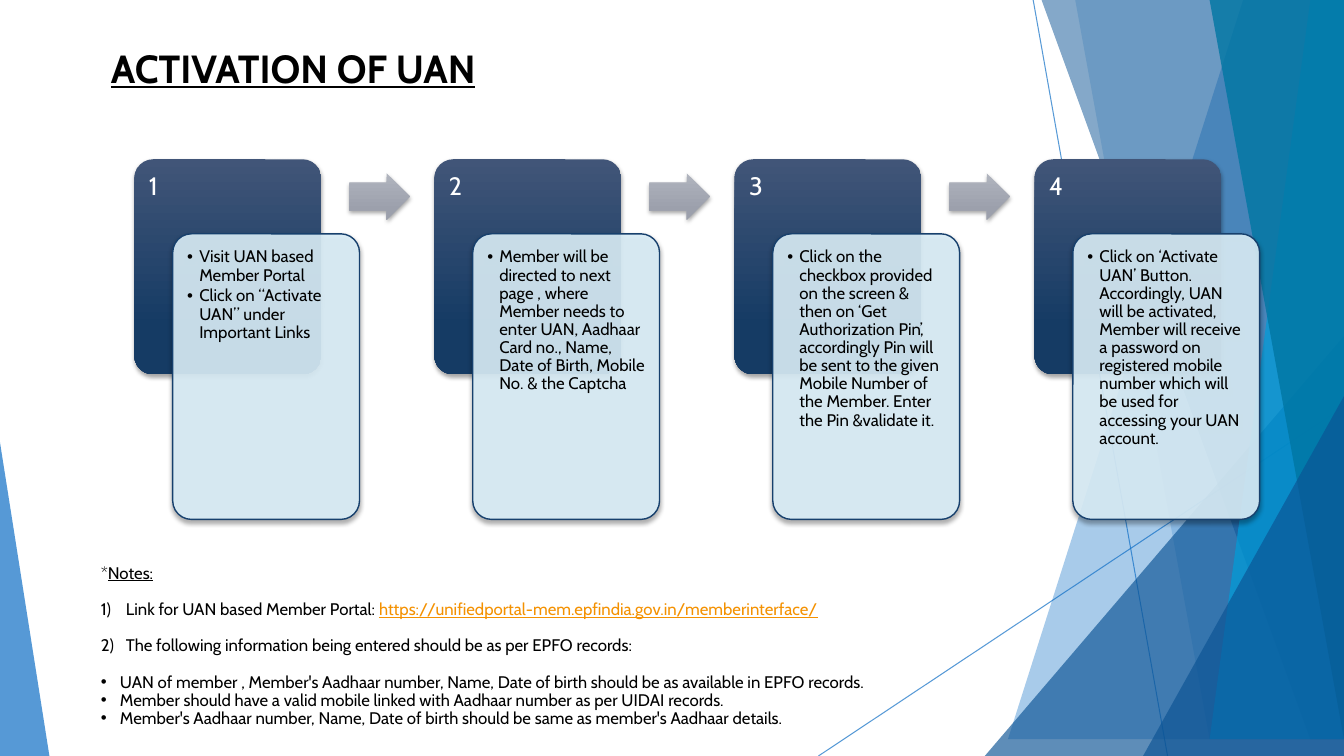
from dataclasses import dataclass

from lxml import etree
from pptx import Presentation
from pptx import util as u
from pptx.dml.color import RGBColor
from pptx.enum import shapes, text
from pptx.oxml import ns


@dataclass(frozen=True)
class Theme:
    font: str = "Cabin"
    black: str = "000000"
    white: str = "FFFFFF"
    blue: str = "0F6FC6"
    navy: str = "0B5394"
    sky: str = "009DD9"
    teal: str = "0076A3"
    link: str = "F49100"
    card: str = "DBEFF9"
    card_edge: str = "17406D"
    header: tuple[str, str] = ("415578", "153B64")
    arrow: tuple[str, str] = ("B0B4BE", "9CA0AC")
    title_size: int = 28
    number_size: int = 18
    body_size: int = 12


@dataclass(frozen=True)
class Box:
    """An area in grid columns and rows."""
    left: float
    top: float
    width: float
    height: float

    def lengths(self) -> list[u.Emu]:
        return [cells(n) for n in (self.left, self.top, self.width, self.height)]


@dataclass(frozen=True)
class Ribbon:
    """A full-height facet reaching the right edge of the slide."""
    top_left: float
    bottom_left: float
    color: str
    opacity: int


@dataclass(frozen=True)
class Corner:
    """A triangular facet; apex is its peak as a share of the width."""
    box: Box
    apex: float
    color: str
    opacity: int


@dataclass(frozen=True)
class Note:
    phrases: tuple[str, ...]
    marker: str = ""
    indent: float = 0
    gap: int = 0


THEME = Theme()
COLUMNS, ROWS = 40, 22.5
CELL = u.Inches(13.333) / COLUMNS

RAYS = [(30.75, 0, 34.75, ROWS), (COLUMNS, 12.1, 24.36, ROWS)]
FACETS = [
    Ribbon(36.84, 30.12, THEME.blue, 36),
    Ribbon(31.5, 35.5, THEME.blue, 20),
    Corner(Box(29.31, 10, 10.69, 12.5), 1, THEME.navy, 66),
    Ribbon(30.63, 38.73, THEME.navy, 50),
    Ribbon(39.09, 35.76, THEME.sky, 70),
    Ribbon(35.88, 39.54, THEME.teal, 80),
    Corner(Box(34.02, 11.79, 5.98, 10.71), 1, THEME.navy, 66),
    Corner(Box(0, 13.17, 1.47, 9.33), 0, THEME.blue, 70),
]

STEP_LEFT, STEP_PITCH = 4, 8.93
STEPS = [
    ["Visit UAN based Member Portal", "Click on “Activate UAN” under Important Links"],
    ["Member will be directed to next page , where Member needs to enter UAN, "
     "Aadhaar Card no., Name, Date of Birth, Mobile No. & the Captcha"],
    ["Click on the checkbox provided on the screen & then on ‘Get Authorization Pin’, "
     "accordingly Pin will be sent to the given Mobile Number of the Member. "
     "Enter the Pin &validate it."],
    ["Click on ‘Activate UAN’ Button. Accordingly, UAN will be activated, Member will "
     "receive a password on registered mobile number which will be used for accessing "
     "your UAN account."],
]

NOTES_HEADING = "Notes:"
PORTAL = "https://unifiedportal-mem.epfindia.gov.in/memberinterface/"
NOTES = [
    Note(("*", NOTES_HEADING)),
    Note(("Link for UAN based Member Portal: ", PORTAL), "1", 0.25, 13),
    Note(("The following information being entered should be as per EPFO records:",),
         "2", 0.25, 13),
    Note(("UAN of member , Member's Aadhaar number, Name, Date of birth should be as "
          "available in EPFO records.",), "•", 0.19, 13),
    Note(("Member should have a valid mobile linked with Aadhaar number as per UIDAI "
          "records.",), "•", 0.19),
    Note(("Member's Aadhaar number, Name, Date of birth should be same as member's "
          "Aadhaar details.",), "•", 0.19),
]


def cells(count: float) -> u.Emu:
    return u.Emu(round(count * CELL))


def add_xml(parent, tag: str, **attributes):
    return etree.SubElement(parent, ns.qn(tag), {k: str(v) for k, v in attributes.items()})


def set_opacity(fill_parent, percent: int) -> None:
    color = next(fill_parent.iter(ns.qn("a:srgbClr")))
    add_xml(color, "a:alpha", val=percent * 1000)


def paint(shape, color: str, opacity: int) -> None:
    shape.fill.solid()
    shape.fill.fore_color.rgb = RGBColor.from_string(color)
    set_opacity(shape.element.spPr, opacity)


def paint_gradient(shape, colors: tuple[str, str]) -> None:
    shape.fill.gradient()
    shape.fill.gradient_angle = 270
    for stop, position, color in zip(shape.fill.gradient_stops, (0, 0.78), colors):
        stop.position = position
        stop.color.rgb = RGBColor.from_string(color)


def add_shadow(shape) -> None:
    shape.shadow.inherit = False
    effects = shape.element.spPr.find(ns.qn("a:effectLst"))
    shadow = add_xml(effects, "a:outerShdw", blurRad=u.Pt(3), dist=u.Pt(2), dir=5400000,
                     rotWithShape=0)
    shadow_color = add_xml(shadow, "a:srgbClr", val=THEME.black)
    add_xml(shadow_color, "a:alpha", val=35000)


def set_marker(paragraph, marker: str, indent: float) -> None:
    properties = paragraph._p.get_or_add_pPr()
    properties.set("marL", str(u.Inches(indent)))
    properties.set("indent", str(-u.Inches(indent)))
    if marker.isdigit():
        add_xml(properties, "a:buFont", typeface="+mj-lt")
        add_xml(properties, "a:buAutoNum", type="arabicParenR", startAt=marker)
    else:
        add_xml(properties, "a:buFont", typeface="Arial")
        add_xml(properties, "a:buChar", char=marker)


def style(paragraph, size: int, color: str) -> None:
    paragraph.alignment = text.PP_ALIGN.LEFT
    paragraph.line_spacing = 0.9
    paragraph.font.name = THEME.font
    paragraph.font.size = u.Pt(size)
    paragraph.font.color.rgb = RGBColor.from_string(color)


def set_frame(frame, anchor, margin: float) -> None:
    frame.word_wrap = True
    frame.vertical_anchor = anchor
    frame.margin_left = frame.margin_right = u.Inches(margin)
    frame.margin_top = frame.margin_bottom = u.Inches(margin)


def write(frame, lines: list[str], size: int, color: str, bulleted: bool = False) -> None:
    set_frame(frame, text.MSO_ANCHOR.TOP, 0.09)
    for index, line in enumerate(lines):
        paragraph = frame.add_paragraph() if index else frame.paragraphs[0]
        paragraph.text = line
        if bulleted:
            set_marker(paragraph, "•", 0.12)
        style(paragraph, size, color)
        paragraph.space_after = u.Pt(2)


def draw_ray(slide, ends: tuple[float, ...]) -> None:
    ray = slide.shapes.add_connector(shapes.MSO_CONNECTOR.STRAIGHT, *map(cells, ends))
    ray.line.width = u.Pt(0.75)
    ray.line.color.rgb = RGBColor.from_string(THEME.blue)
    set_opacity(ray.line._ln, 70)
    add_xml(ray.line._ln.getparent(), "a:effectLst")


def draw_facet(slide, facet: Ribbon | Corner) -> None:
    if isinstance(facet, Ribbon):
        builder = slide.shapes.build_freeform(facet.top_left, 0, scale=CELL)
        builder.add_line_segments([(COLUMNS, 0), (COLUMNS, ROWS), (facet.bottom_left, ROWS)])
        shape = builder.convert_to_shape()
    else:
        shape = slide.shapes.add_shape(shapes.MSO_SHAPE.ISOSCELES_TRIANGLE, *facet.box.lengths())
        shape.adjustments[0] = facet.apex
    paint(shape, facet.color, facet.opacity)
    shape.line.fill.background()
    shape.shadow.inherit = False


def draw_preset(slide, preset, box: Box, adjustments: tuple[float, ...]):
    shape = slide.shapes.add_shape(preset, *box.lengths())
    for index, value in enumerate(adjustments):
        shape.adjustments[index] = value
    shape.line.fill.background()
    add_shadow(shape)
    return shape


def draw_step(slide, index: int, lines: list[str]) -> None:
    left = STEP_LEFT + index * STEP_PITCH
    rounded = shapes.MSO_SHAPE.ROUNDED_RECTANGLE
    header = draw_preset(slide, rounded, Box(left, 4.74, 5.56, 6.4), (0.1,))
    paint_gradient(header, THEME.header)
    write(header.text_frame, [str(index + 1)], THEME.number_size, THEME.white)

    card = draw_preset(slide, rounded, Box(left + 1.14, 6.96, 5.56, 8.5), (0.1,))
    paint(card, THEME.card, 90)
    card.line.color.rgb = RGBColor.from_string(THEME.card_edge)
    card.line.width = u.Pt(1)
    write(card.text_frame, lines, THEME.body_size, THEME.black, bulleted=True)

    if index < len(STEPS) - 1:
        arrow = draw_preset(slide, shapes.MSO_SHAPE.RIGHT_ARROW,
                            Box(left + 6.4, 5.16, 1.8, 1.38), (0.6, 0.5))
        paint_gradient(arrow, THEME.arrow)


def draw_title(slide) -> None:
    title = slide.shapes.title
    title.left, title.top, title.width, title.height = Box(3, 0.66, 16.35, 2.7).lengths()
    title.text_frame.text = "ACTIVATION OF UAN"
    title.text_frame.auto_size = text.MSO_AUTO_SIZE.NONE
    set_frame(title.text_frame, text.MSO_ANCHOR.MIDDLE, 0.1)
    paragraph = title.text_frame.paragraphs[0]
    style(paragraph, THEME.title_size, THEME.black)
    paragraph.line_spacing = 1.0
    paragraph.font.bold = paragraph.font.underline = True


def draw_notes(slide) -> None:
    frame = slide.shapes.add_textbox(*Box(3, 16.8, 34, 5.43).lengths()).text_frame
    set_frame(frame, text.MSO_ANCHOR.TOP, 0)
    for index, note in enumerate(NOTES):
        paragraph = frame.add_paragraph() if index else frame.paragraphs[0]
        if note.marker:
            set_marker(paragraph, note.marker, note.indent)
        style(paragraph, THEME.body_size, THEME.black)
        paragraph.space_before = u.Pt(note.gap)
        for phrase in note.phrases:
            run = paragraph.add_run()
            run.text = phrase
            if phrase in (NOTES_HEADING, PORTAL):
                run.font.underline = True
            if phrase == PORTAL:
                run.font.color.rgb = RGBColor.from_string(THEME.link)


def main() -> None:
    presentation = Presentation()
    presentation.slide_width, presentation.slide_height = cells(COLUMNS), cells(ROWS)
    slide = presentation.slides.add_slide(presentation.slide_layouts[5])

    # Faceted backdrop
    for ends in RAYS:
        draw_ray(slide, ends)
    for facet in FACETS:
        draw_facet(slide, facet)

    # Title, process steps and notes
    draw_title(slide)
    for index, lines in enumerate(STEPS):
        draw_step(slide, index, lines)
    draw_notes(slide)
    presentation.save("out.pptx")


if __name__ == "__main__":
    main()
